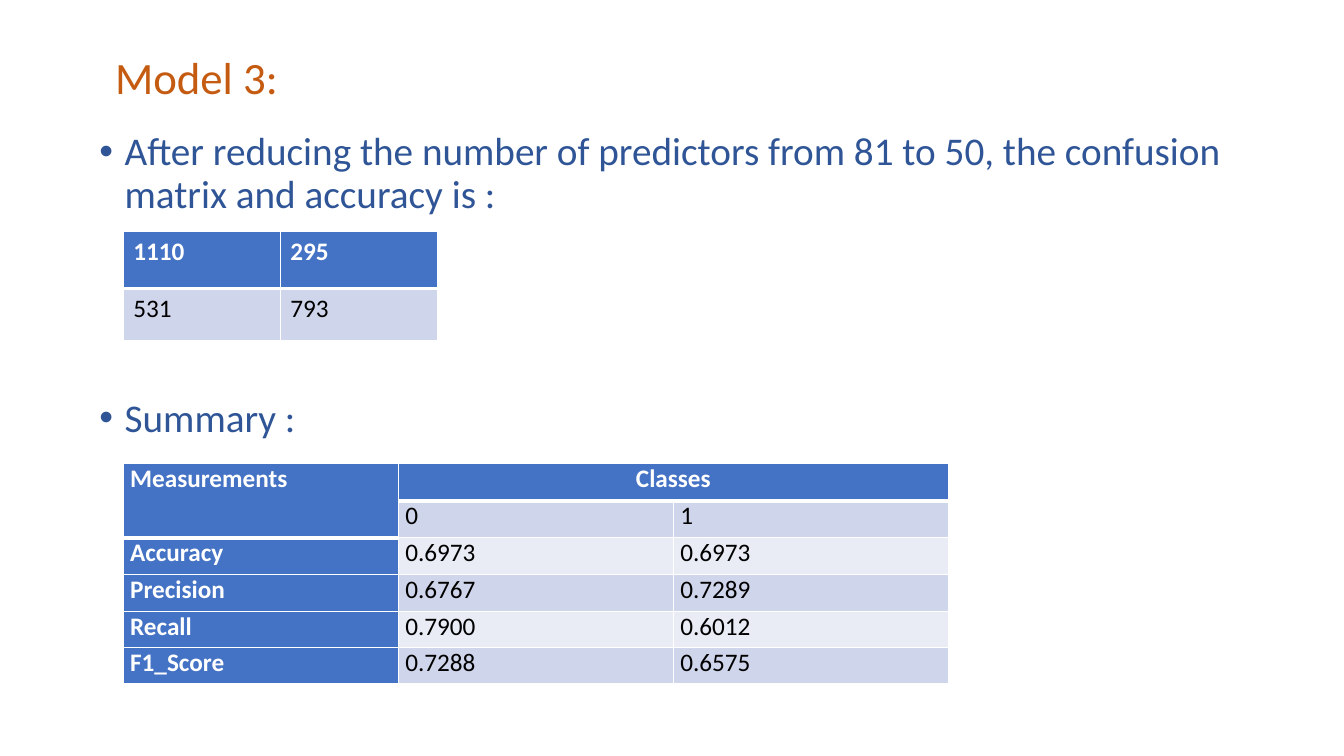
from lxml.etree import SubElement
from pptx import Presentation
from pptx.dml.color import RGBColor
from pptx.enum.text import PP_ALIGN as Align
from pptx.oxml.ns import qn
from pptx.util import Pt

COLORS = {
    "title": "C55A11",
    "body": "2F5597",
    "header": "4472C4",
    "dark_band": "CFD5EA",
    "light_band": "E9EBF5",
    "white": "FFFFFF",
    "black": "000000",
}


class SlideBuilder:
    font_name = "Calibri"
    table_size = 18

    def __init__(self, slide):
        self.slide = slide

    def color(self, name):
        return RGBColor.from_string(COLORS[name])

    def style(self, paragraph, size, color, bold=False):
        font = paragraph.font
        font.name = self.font_name
        font.size = Pt(size)
        font.bold = bold
        font.color.rgb = self.color(color)

    def text_box(self, left, top, width, height):
        shape = self.slide.shapes.add_textbox(Pt(left), Pt(top), Pt(width), Pt(height))
        shape.text_frame.word_wrap = True
        return shape.text_frame

    def title(self, text, *box):
        paragraph = self.text_box(*box).paragraphs[0]
        paragraph.text = text
        paragraph.alignment = Align.CENTER
        self.style(paragraph, 32, "title")

    def bullets(self, items, *box):
        frame = self.text_box(*box)
        for index, (text, space_before) in enumerate(items):
            paragraph = frame.add_paragraph() if index else frame.paragraphs[0]
            paragraph.text = text
            paragraph.line_spacing = 0.9
            paragraph.space_before = Pt(space_before)
            self.style(paragraph, 28, "body")
            properties = paragraph._p.get_or_add_pPr()
            properties.set("marL", str(Pt(18)))
            properties.set("indent", str(Pt(-18)))
            bullet_font = SubElement(properties, qn("a:buFont"))
            bullet_font.set("typeface", "Arial")
            SubElement(properties, qn("a:buChar")).set("char", "•")
            properties.remove(bullet_font)
            properties.insert(len(properties) - 1, bullet_font)
            defaults = properties.find(qn("a:defRPr"))
            properties.remove(defaults)
            properties.append(defaults)

    def borders(self, cell, top, bottom):
        properties = cell._tc.get_or_add_tcPr()
        widths = {"lnL": 1, "lnR": 1, "lnT": top, "lnB": bottom}
        for index, (side, width) in enumerate(widths.items()):
            line = SubElement(properties, qn(f"a:{side}"))
            line.set("w", str(Pt(width)))
            fill = SubElement(line, qn("a:solidFill"))
            SubElement(fill, qn("a:srgbClr")).set("val", COLORS["white"])
            properties.insert(index, line)

    def table(self, rows, left, top, column_width, row_heights, header_depths,
              label_column=False, margins=(7.2, 3.6)):
        columns = len(rows[0])
        table = self.slide.shapes.add_table(
            len(rows), columns, Pt(left), Pt(top),
            Pt(column_width * columns), Pt(sum(row_heights))).table
        table.first_row = table.horz_banding = False
        for column in table.columns:
            column.width = Pt(column_width)
        for row_index, (values, height) in enumerate(zip(rows, row_heights)):
            table.rows[row_index].height = Pt(height)
            band = "dark_band" if row_index % 2 else "light_band"
            for column_index, value in enumerate(values):
                depth = header_depths[column_index]
                in_header = row_index < depth
                strong = in_header or (label_column and column_index == 0)
                cell = table.cell(row_index, column_index)
                cell.fill.solid()
                cell.fill.fore_color.rgb = self.color("header" if strong else band)
                cell.margin_left = cell.margin_right = Pt(margins[0])
                cell.margin_top = cell.margin_bottom = Pt(margins[1])
                self.borders(cell, 3 if row_index == depth else 1, 3 if in_header else 1)
                paragraph = cell.text_frame.paragraphs[0]
                paragraph.text = value
                self.style(paragraph, self.table_size, "white" if strong else "black", strong)
        return table


def main():
    presentation = Presentation()
    presentation.slide_width = Pt(960)
    presentation.slide_height = Pt(540)
    builder = SlideBuilder(presentation.slides.add_slide(presentation.slide_layouts[6]))

    builder.bullets([
        ("After reducing the number of predictors from 81 to 50, "
         "the confusion matrix and accuracy is :", 10),
        ("Summary :", 130),
    ], 64, 90.7, 828, 342.7)

    builder.table([("1110", "295"), ("531", "793")],
                  88, 165, 112.3, (41, 37.5), header_depths=(1, 1))

    summary = builder.table([
        ("Measurements", "Classes", ""),
        ("", "0", "1"),
        ("Accuracy", "0.6973", "0.6973"),
        ("Precision", "0.6767", "0.7289"),
        ("Recall", "0.7900", "0.6012"),
        ("F1_Score", "0.7288", "0.6575"),
    ], 88, 331.2, 196.5, (26.5,) * 3 + (25.9,) * 3,
        header_depths=(2, 1, 1), label_column=True, margins=(5, 0))
    summary.cell(0, 0).merge(summary.cell(1, 0))
    summary.cell(0, 1).merge(summary.cell(0, 2))
    summary.cell(0, 1).text_frame.paragraphs[0].alignment = Align.CENTER

    builder.title("Model 3:", 32.4, 31.7, 216, 46)
    presentation.save("out.pptx")


if __name__ == "__main__":
    main()
